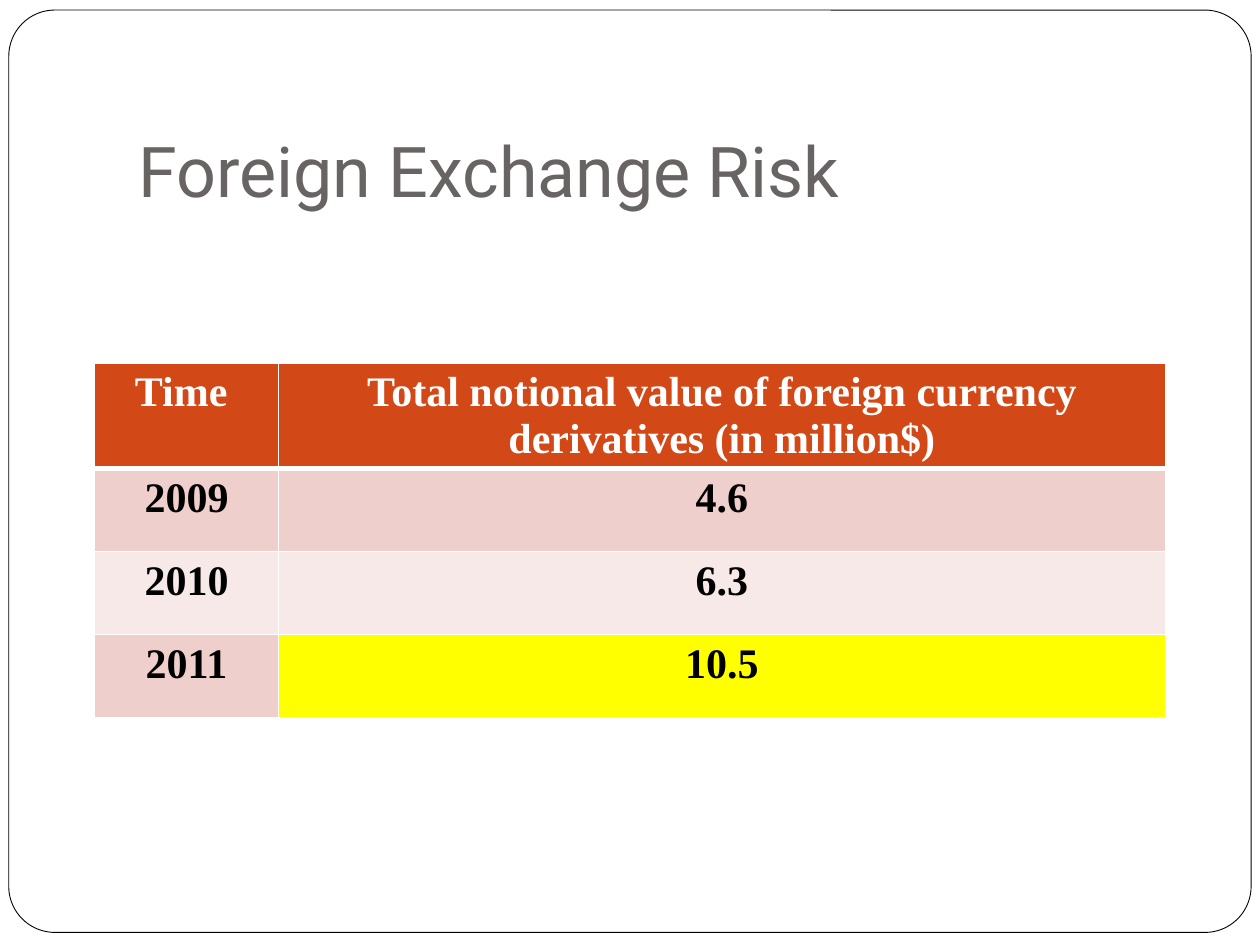
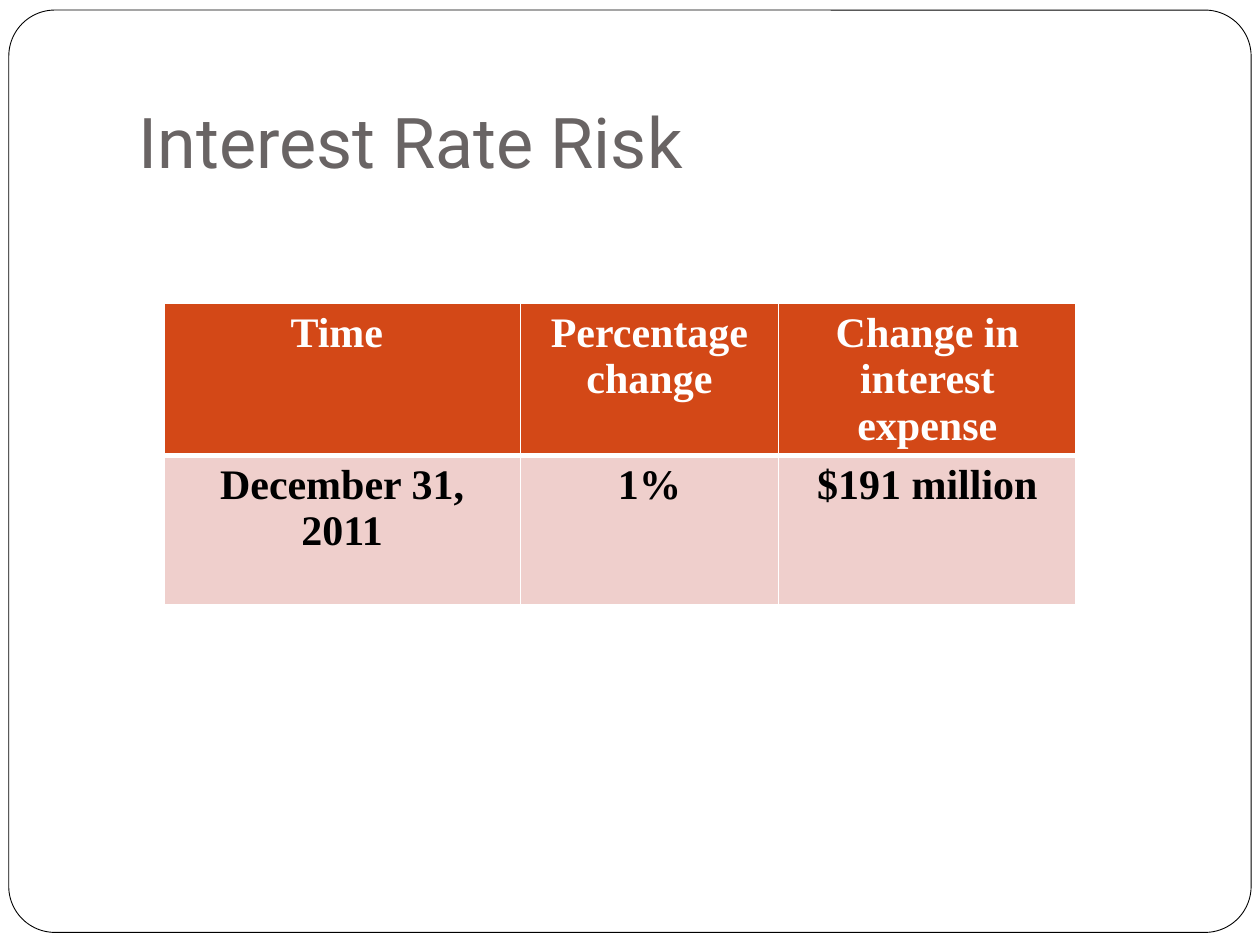
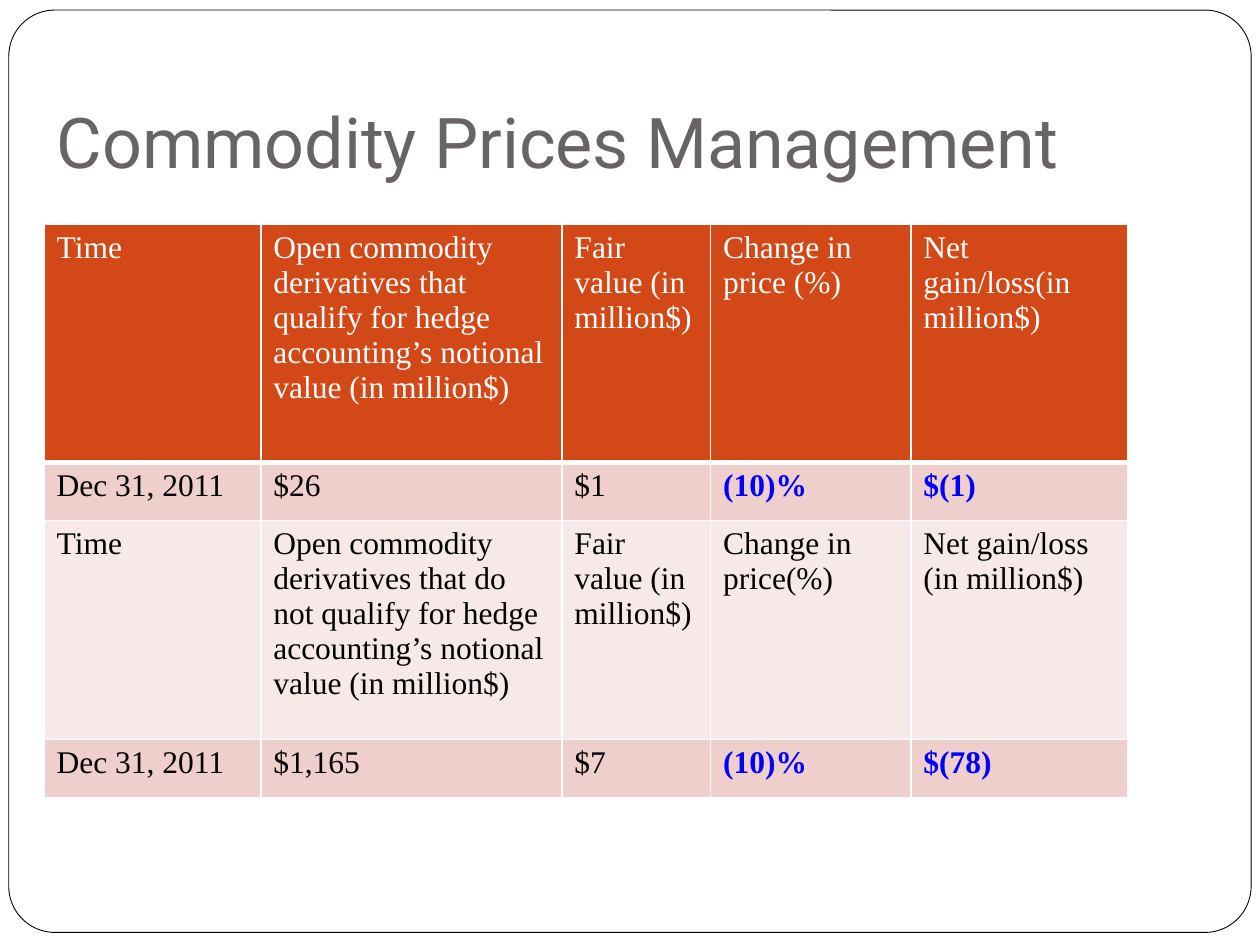
import dataclasses

import lxml.etree
import pptx
import pptx.dml.color
import pptx.enum.shapes
import pptx.enum.text
import pptx.oxml.ns
import pptx.util

Inches = pptx.util.Inches
Pt = pptx.util.Pt
ALIGN = pptx.enum.text.PP_ALIGN


@dataclasses.dataclass(frozen=True)
class Theme:
    title_font: str = "Roboto"
    table_font: str = "Times New Roman"
    title_size: int = 40
    large_size: int = 24
    small_size: int = 18
    white: str = "FFFFFF"
    black: str = "000000"
    title: str = "696464"
    header: str = "D34817"
    odd_row: str = "EFCFCC"
    even_row: str = "F7E9E8"
    highlight: str = "FFFF00"
    emphasis: str = "0000FF"
    rule: int = 1
    header_rule: int = 3


THEME = Theme()


def rgb(value):
    return pptx.dml.color.RGBColor.from_string(value)


def set_font(p, name, size, color, bold=False):
    for r in p.runs:
        r.font.name = name
        r.font.size = Pt(size)
        r.font.bold = bold
        r.font.color.rgb = rgb(color)


def add_frame(s, layout):
    sp = s.shapes.add_shape(
        pptx.enum.shapes.MSO_SHAPE.ROUNDED_RECTANGLE,
        Inches(0.07), Inches(0.08), Inches(9.86), Inches(7.32))
    sp.adjustments[0] = 0.05
    sp.shadow.inherit = False
    sp.fill.solid()
    sp.fill.fore_color.rgb = rgb(THEME.white)
    sp.line.color.rgb = rgb(THEME.black)
    sp.line.width = Pt(0.5)
    layout.shapes.element.insert(2, sp.element)


def add_title(s, text, box):
    sp = s.shapes.title
    sp.left, sp.top, sp.width, sp.height = map(Inches, box)
    tf = sp.text_frame
    tf.text = text
    tf.word_wrap = True
    tf.auto_size = pptx.enum.text.MSO_AUTO_SIZE.NONE
    tf.vertical_anchor = pptx.enum.text.MSO_ANCHOR.BOTTOM
    tf.margin_left = tf.margin_right = tf.margin_bottom = Inches(0.1)
    tf.margin_top = Inches(0.05)
    p = tf.paragraphs[0]
    p.alignment = ALIGN.LEFT
    set_font(p, THEME.title_font, THEME.title_size, THEME.title)


def set_borders(cell, row):
    qn = pptx.oxml.ns.qn
    tc_pr = cell._tc.get_or_add_tcPr()
    widths = {
        "a:lnL": THEME.rule,
        "a:lnR": THEME.rule,
        "a:lnT": THEME.header_rule if row == 1 else THEME.rule,
        "a:lnB": THEME.header_rule if row == 0 else THEME.rule,
    }
    for tag, width in widths.items():
        ln = lxml.etree.SubElement(tc_pr, qn(tag), w=str(Pt(width)))
        fill = lxml.etree.SubElement(ln, qn("a:solidFill"))
        lxml.etree.SubElement(fill, qn("a:srgbClr"), val=THEME.white)


def row_colors(row):
    if row == 0:
        return THEME.header, THEME.white
    return (THEME.odd_row if row % 2 else THEME.even_row), THEME.black


def add_table(s, left, top, widths, heights, rows, size, bold=False,
              align=ALIGN.LEFT, highlighted=(), emphasized=()):
    table = s.shapes.add_table(
        len(rows), len(widths), Inches(left), Inches(top),
        Inches(sum(widths)), Inches(sum(heights))).table
    for column, width in zip(table.columns, widths):
        column.width = Inches(width)
    for i, (height, texts) in enumerate(zip(heights, rows)):
        table.rows[i].height = Inches(height)
        for j, text in enumerate(texts):
            cell = table.cell(i, j)
            fill, color = row_colors(i)
            if (i, j) in highlighted:
                fill = THEME.highlight
            strong = (i, j) in emphasized
            set_borders(cell, i)
            cell.fill.solid()
            cell.fill.fore_color.rgb = rgb(fill)
            cell.text = text
            p = cell.text_frame.paragraphs[0]
            p.alignment = align
            set_font(p, THEME.table_font, size,
                     THEME.emphasis if strong else color, bold or strong)


def foreign_exchange_slide(s):
    add_title(s, "Foreign Exchange Risk", (1, 0.3, 8.5, 1.48))
    rows = [
        ("Time ", "Total notional value of foreign currency derivatives (in million$)"),
        ("2009", "4.6"),
        ("2010", "6.3"),
        ("2011", "10.5"),
    ]
    add_table(s, 0.75, 2.88, (1.46, 7.04), (0.83, 0.66, 0.66, 0.66), rows,
              THEME.large_size, True, ALIGN.CENTER, highlighted={(3, 1)})


def interest_rate_slide(s):
    add_title(s, "Interest Rate Risk", (1, 0.3, 8.5, 1.25))
    rows = [
        ("Time ", "Percentage change", "Change in interest expense"),
        ("December 31, 2011", "1%", "$191 million"),
    ]
    add_table(s, 1.3, 2.41, (2.83, 2.05, 2.36), (1.18, 1.18), rows,
              THEME.large_size, True, ALIGN.CENTER)


def commodity_prices_slide(s):
    add_title(s, "Commodity Prices Management", (0.35, 0.3, 9.15, 1.25))
    rows = [
        ("Time",
         "Open commodity derivatives that qualify for hedge accounting’s notional value (in million$)",
         "Fair value (in million$)", "Change in price (%)", "Net gain/loss(in million$)"),
        ("Dec 31, 2011", "$26", "$1", "(10)%", "$(1)"),
        ("Time",
         "Open commodity derivatives that do not qualify for hedge accounting’s notional value (in million$)",
         "Fair value (in million$)", "Change in price(%)", "Net gain/loss (in million$)"),
        ("Dec 31, 2011", "$1,165", "$7", "(10)%", "$(78)"),
    ]
    add_table(s, 0.35, 1.78, (1.72, 2.39, 1.18, 1.59, 1.72),
              (1.89, 0.46, 1.74, 0.46), rows, THEME.small_size,
              emphasized={(i, j) for i in (1, 3) for j in (3, 4)})


def main():
    prs = pptx.Presentation()
    prs.slide_width, prs.slide_height = Inches(10), Inches(7.5)
    layout = prs.slide_layouts.get_by_name("Title Only")
    builders = (foreign_exchange_slide, interest_rate_slide, commodity_prices_slide)
    for build in builders:
        build(prs.slides.add_slide(layout))
    add_frame(prs.slides[0], layout)
    prs.save("out.pptx")


if __name__ == "__main__":
    main()
